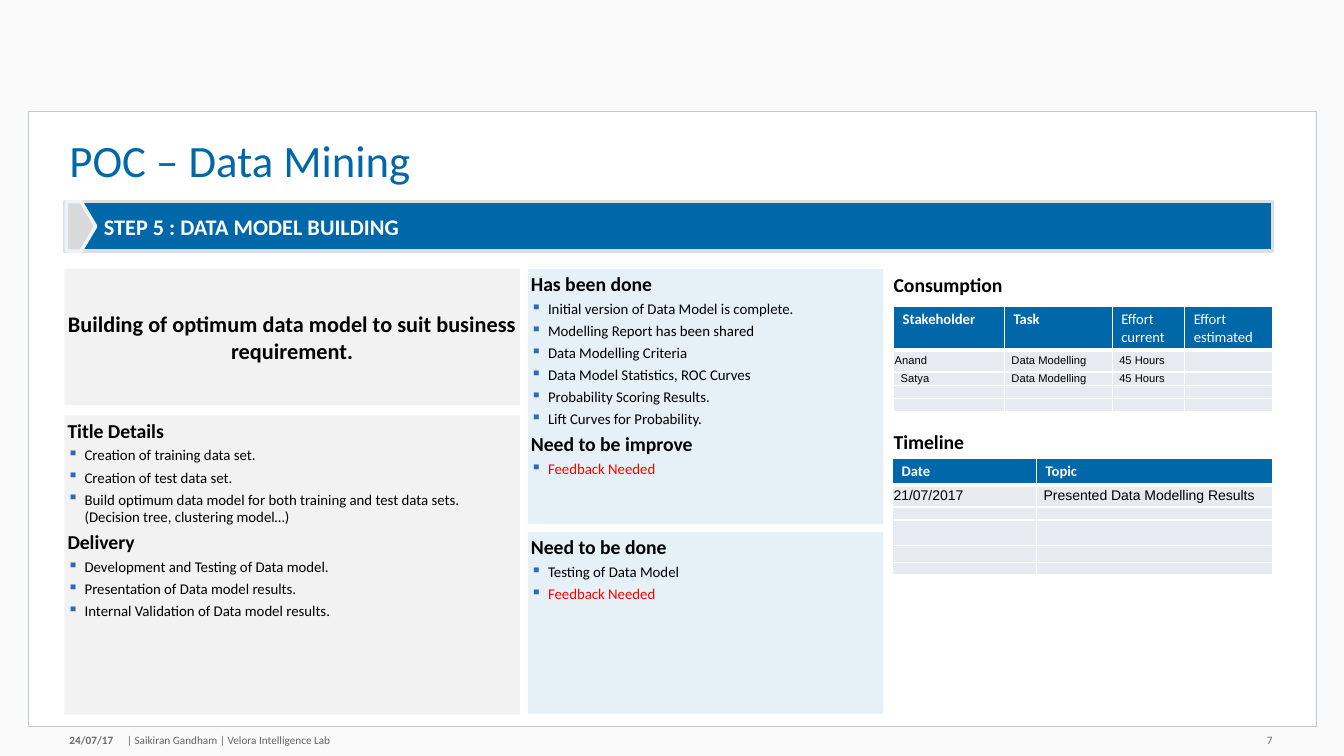
from dataclasses import dataclass

from lxml.etree import SubElement
from pptx import Presentation
from pptx.dml.color import RGBColor
from pptx.enum.shapes import MSO_SHAPE
from pptx.enum.text import MSO_ANCHOR, PP_ALIGN
from pptx.oxml.ns import qn
from pptx.util import Inches, Pt

COLORS = {
    "back": "FAFAFA", "white": "FFFFFF", "frame": "BFC9D2", "blue": "0068A9",
    "black": "000000", "red": "FF0000", "grey": "F2F2F2", "pale": "E5F1F7",
    "bullet": "316AB0", "date": "686868", "footer": "646464", "row": "E7EBF1",
    "banner_line": "D9DFE4", "arrow": "D9D9D9", "arrow_line": "EDF4F9",
}


@dataclass
class Line:
    text: str
    size: float = 10.6
    color: str = "black"
    bold: bool = False
    bullet: bool = False
    align: PP_ALIGN = PP_ALIGN.LEFT
    indent: float = 0
    spacing: float = 1
    font: str = "Calibri"


@dataclass
class Box:
    at: tuple[float, float, float, float]
    fill: str
    lines: tuple[Line, ...] = ()
    anchor: MSO_ANCHOR = MSO_ANCHOR.TOP
    line: str = ""
    width: float = 0
    kind: MSO_SHAPE = MSO_SHAPE.RECTANGLE


@dataclass
class Label:
    at: tuple[float, float, float, float]
    line: Line
    anchor: MSO_ANCHOR = MSO_ANCHOR.MIDDLE


@dataclass
class Grid:
    at: tuple[float, float]
    cols: tuple[float, ...]
    rows: tuple[float, ...]
    header: tuple[str, ...]
    body: tuple[tuple[str, ...], ...]
    size: float
    bold_heads: int = 2


def heading(text: str) -> Line:
    return Line(text, 14.1, bold=True)


def item(text: str, color: str = "black") -> Line:
    return Line(text, color=color, bullet=True)


def rgb(name: str) -> RGBColor:
    return RGBColor.from_string(COLORS[name])


def write(p, line: Line) -> None:
    pPr = p._p.get_or_add_pPr()
    if line.bullet:
        pPr.set("marL", str(Inches(0.17)))
        pPr.set("indent", str(-Inches(0.17)))
        clr = SubElement(pPr, qn("a:buClr"))
        SubElement(clr, qn("a:srgbClr"), val=COLORS["bullet"])
        SubElement(pPr, qn("a:buChar"), char="▪")
    elif line.indent:
        pPr.set("marL", str(Inches(line.indent)))
    p.alignment = line.align
    p.line_spacing = line.spacing
    r = p.add_run()
    r.text = line.text
    r.font.name = line.font
    r.font.size = Pt(line.size)
    r.font.bold = line.bold
    r.font.color.rgb = rgb(line.color)


def set_margins(target, x: float, y: float) -> None:
    target.margin_left = target.margin_right = Inches(x)
    target.margin_top = target.margin_bottom = Inches(y)


def draw_box(s, box: Box) -> None:
    sp = s.shapes.add_shape(box.kind, *map(Inches, box.at))
    sp.shadow.inherit = False
    sp.fill.solid()
    sp.fill.fore_color.rgb = rgb(box.fill)
    if box.line:
        sp.line.color.rgb = rgb(box.line)
        sp.line.width = Pt(box.width)
    else:
        sp.line.fill.background()
    tf = sp.text_frame
    tf.word_wrap = True
    tf.vertical_anchor = box.anchor
    set_margins(tf, 0.03, 0.03)
    for i, line in enumerate(box.lines):
        p = tf.add_paragraph() if i else tf.paragraphs[0]
        write(p, line)
        if i:
            p.space_before = Pt(3)


def draw_label(s, label: Label) -> None:
    tf = s.shapes.add_textbox(*map(Inches, label.at)).text_frame
    tf.word_wrap = True
    tf.vertical_anchor = label.anchor
    set_margins(tf, 0, 0)
    write(tf.paragraphs[0], label.line)


def style_cell(cell, fill: str, top: float, bottom: float) -> None:
    tcPr = cell._tc.get_or_add_tcPr()
    for side, width in (("L", 1), ("R", 1), ("T", top), ("B", bottom)):
        ln = SubElement(tcPr, qn(f"a:ln{side}"), w=str(Pt(width)))
        clr = SubElement(SubElement(ln, qn("a:solidFill")), qn("a:srgbClr"))
        clr.set("val", COLORS["white"])
    cell.fill.solid()
    cell.fill.fore_color.rgb = rgb(fill)


def draw_grid(s, grid: Grid) -> None:
    size = (sum(grid.cols), sum(grid.rows))
    table = s.shapes.add_table(len(grid.rows), len(grid.cols),
                               *map(Inches, grid.at + size)).table
    table.horz_banding = False
    for col, width in zip(table.columns, grid.cols):
        col.width = Inches(width)
    for i, (row, height) in enumerate(zip(table.rows, grid.rows)):
        row.height = Inches(height)
        for j, cell in enumerate(row.cells):
            p = cell.text_frame.paragraphs[0]
            if i == 0:
                style_cell(cell, "blue", 1, 3)
                set_margins(cell, 0.09, 0.04)
                write(p, Line(grid.header[j], 10.5, "white", j < grid.bold_heads))
                continue
            style_cell(cell, "row", 3 if i == 1 else 1, 1)
            set_margins(cell, 0.01 if i == 1 and j == 0 else 0.07, 0)
            cell.vertical_anchor = MSO_ANCHOR.MIDDLE
            texts = grid.body[i - 1] if i <= len(grid.body) else ()
            if j < len(texts):
                write(p, Line(texts[j], grid.size, font="Arial", align=PP_ALIGN.JUSTIFY))
            else:
                SubElement(p._p, qn("a:endParaRPr"), sz="700")


BOXES = (
    Box((0.28, 1.1, 12.78, 6.1), "white", line="frame", width=0.25),
    Box((0.64, 2.67, 4.52, 1.35), "grey", (
        Line("Building of optimum data model to suit business requirement.", 15.9,
             bold=True, align=PP_ALIGN.CENTER),), MSO_ANCHOR.MIDDLE),
    Box((5.24, 2.67, 3.53, 2.53), "pale", (
        heading("Has been done"),
        item("Initial version of Data Model is complete."),
        item("Modelling Report has been shared"),
        item("Data Modelling Criteria"),
        item("Data Model Statistics, ROC Curves"),
        item("Probability Scoring Results."),
        item("Lift Curves for Probability."),
        heading("Need to be improve"),
        item("Feedback Needed", "red"))),
    Box((0.64, 2, 11.99, 0.49), "blue", (
        Line("STEP 5 : DATA MODEL BUILDING", 15.9, "white", True, indent=0.36),),
        MSO_ANCHOR.MIDDLE, "banner_line", 2.5),
    Box((0.66, 2, 0.29, 0.49), "arrow", line="arrow_line", width=2.5,
        kind=MSO_SHAPE.PENTAGON),
    Box((0.64, 4.12, 4.52, 2.97), "grey", (
        heading("Title Details"),
        item("Creation of training data set."),
        item("Creation of test data set."),
        item("Build optimum data model for both training and test data sets. "
             "(Decision tree, clustering model…)"),
        heading("Delivery"),
        item("Development and Testing of Data model."),
        item("Presentation of Data model results."),
        item("Internal Validation of Data model results."))),
    Box((5.24, 5.28, 3.53, 1.8), "pale", (
        heading("Need to be done"),
        item("Testing of Data Model"),
        item("Feedback Needed", "red"))),
)
LABELS = (
    Label((0.69, 1.38, 12.36, 0.48), Line("POC – Data Mining", 32, "blue", spacing=0.9),
          MSO_ANCHOR.TOP),
    Label((0.69, 7.28, 0.56, 0.13), Line("24/07/17", 8, "date", True)),
    Label((1.26, 7.28, 4.67, 0.13),
          Line("| Saikiran Gandham | Velora Intelligence Lab", 8, "footer")),
    Label((11.84, 7.28, 0.79, 0.13), Line("7", 8, "date", align=PP_ALIGN.RIGHT)),
    Label((8.87, 4.26, 3.3, 0.24), heading("Timeline")),
    Label((8.87, 2.7, 3.3, 0.24), heading("Consumption")),
)
GRIDS = (
    Grid((8.86, 4.55), (1.43, 2.34), (0.26, 0.22, 0.13, 0.25, 0.17, 0.12),
         ("Date", "Topic"), (("21/07/2017", "Presented Data Modelling Results"),), 10),
    Grid((8.87, 3.04), (1.1, 1.07, 0.72, 0.87), (0.43, 0.22, 0.13, 0.13, 0.13),
         ("Stakeholder", "Task", "Effort current", "Effort estimated"),
         (("Anand", "Data Modelling", "45 Hours"),
          ("Satya", "Data Modelling", "45 Hours")), 8),
)


def main() -> None:
    prs = Presentation()
    prs.slide_width, prs.slide_height = Inches(13.34), Inches(7.5)
    s = prs.slides.add_slide(prs.slide_layouts[6])
    s.background.fill.solid()
    s.background.fill.fore_color.rgb = rgb("back")
    for box in BOXES:
        draw_box(s, box)
    for label in LABELS:
        draw_label(s, label)
    for grid in GRIDS:
        draw_grid(s, grid)
    prs.save("out.pptx")


if __name__ == "__main__":
    main()
